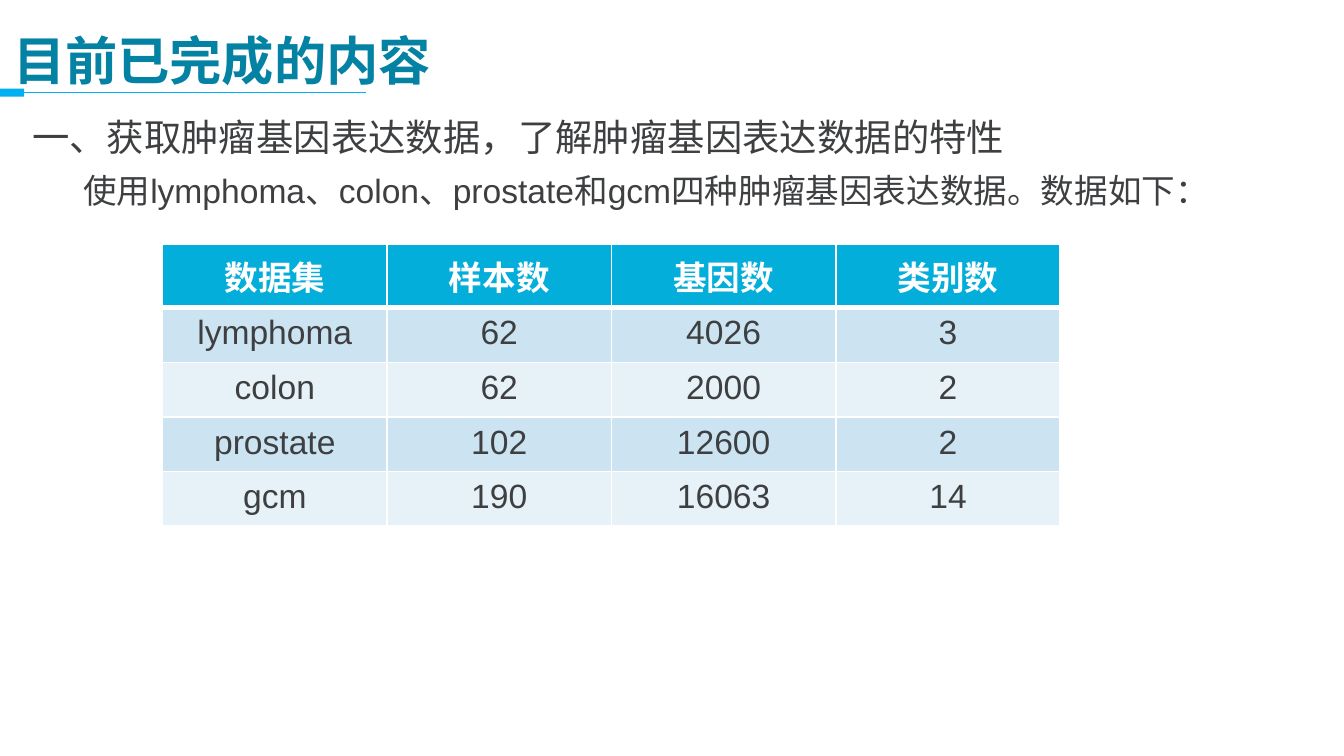
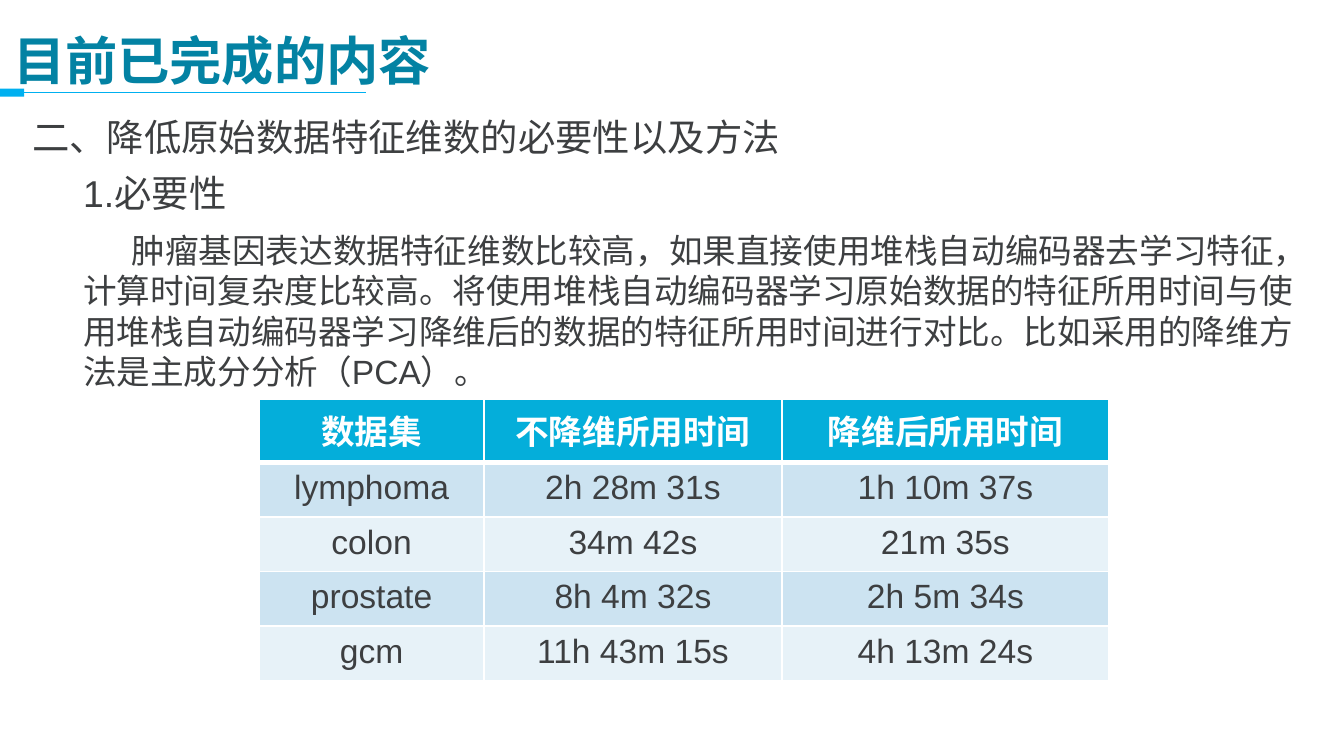
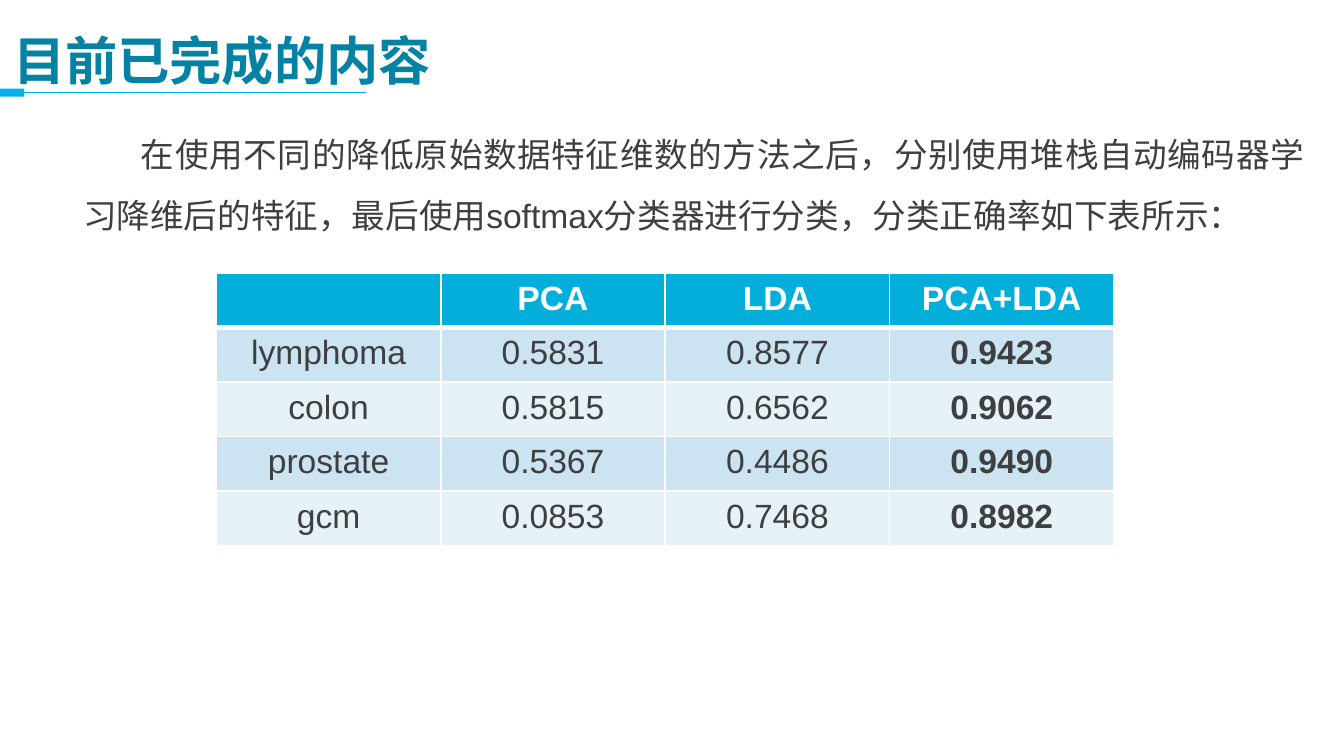
from dataclasses import dataclass

from lxml import etree
from pptx import Presentation
from pptx.dml.color import RGBColor
from pptx.enum.shapes import MSO_CONNECTOR, MSO_SHAPE
from pptx.enum.text import MSO_ANCHOR, PP_ALIGN
from pptx.oxml.ns import qn
from pptx.util import Inches, Pt

STRAIGHT = MSO_CONNECTOR.STRAIGHT
RECTANGLE = MSO_SHAPE.RECTANGLE
TOP, MIDDLE = MSO_ANCHOR.TOP, MSO_ANCHOR.MIDDLE
LEFT, CENTER, JUSTIFY = PP_ALIGN.LEFT, PP_ALIGN.CENTER, PP_ALIGN.JUSTIFY

SLIDE_WIDTH = 10
SLIDE_HEIGHT = SLIDE_WIDTH * 9 / 16
FONT = "Arial"
TITLE = "目前已完成的内容"
TITLE_COLOR = "0382A3"
ACCENT = "00B0F0"
BODY_COLOR = "3D3F41"
WHITE = "FFFFFF"
HEADER_FILL = "04AEDA"
BAND_FILLS = ("CCE3F1", "E7F2F8")
TABLE_HEIGHT = 2.03
DATASETS = ("lymphoma", "colon", "prostate", "gcm")


@dataclass
class Passage:
    text: str
    size: int = 18
    margin: float = 0.38
    indent: float = 0
    align: PP_ALIGN = LEFT
    spacing: float = 1.0
    before: float = 3


@dataclass
class DataTable:
    left: float
    top: float
    widths: list[float]
    header: list[str]
    columns: list[list[str]]
    header_bottom: float = 0.12
    bold_last: bool = False


@dataclass
class Page:
    passages: list[Passage]
    table: DataTable


PAGES = [
    Page(
        [
            Passage("一、获取肿瘤基因表达数据，了解肿瘤基因表达数据的特性", size=20, margin=0),
            Passage("使用lymphoma、colon、prostate和gcm四种肿瘤基因表达数据。数据如下："),
        ],
        DataTable(
            1.21, 1.82, [1.67] * 4,
            ["数据集", "样本数", "基因数", "类别数"],
            [
                ["62", "62", "102", "190"],
                ["4026", "2000", "12600", "16063"],
                ["3", "2", "2", "14"],
            ],
        ),
    ),
    Page(
        [
            Passage("二、降低原始数据特征维数的必要性以及方法", size=20, margin=0),
            Passage("1.必要性", size=20),
            Passage(
                "肿瘤基因表达数据特征维数比较高，如果直接使用堆栈自动编码器去学习特征，"
                "计算时间复杂度比较高。将使用堆栈自动编码器学习原始数据的特征所用时间与"
                "使用堆栈自动编码器学习降维后的数据的特征所用时间进行对比。"
                "比如采用的降维方法是主成分分析（PCA）。",
                indent=0.36, before=5,
            ),
        ],
        DataTable(
            1.93, 2.97, [1.67, 2.22, 2.43],
            ["数据集", "不降维所用时间", "降维后所用时间"],
            [
                ["2h 28m 31s", "34m 42s", "8h 4m 32s", "11h 43m 15s"],
                ["1h 10m 37s", "21m 35s", "2h 5m 34s", "4h 13m 24s"],
            ],
        ),
    ),
    Page(
        [
            Passage(
                "在使用不同的降低原始数据特征维数的方法之后，分别使用堆栈自动编码器学习"
                "降维后的特征，最后使用softmax分类器进行分类，分类正确率如下表所示：",
                indent=0.43, align=JUSTIFY, spacing=1.5,
            ),
        ],
        DataTable(
            1.61, 2.03, [1.67] * 4,
            ["", "PCA", "LDA", "PCA+LDA"],
            [
                ["0.5831", "0.5815", "0.5367", "0.0853"],
                ["0.8577", "0.6562", "0.4486", "0.7468"],
                ["0.9423", "0.9062", "0.9490", "0.8982"],
            ],
            header_bottom=0.05,
            bold_last=True,
        ),
    ),
]


def rgb(color: str) -> RGBColor:
    return RGBColor.from_string(color)


def write_text(paragraph, text: str, *, size: int = 18, color: str = BODY_COLOR,
               bold: bool = False, align: PP_ALIGN = LEFT) -> None:
    paragraph.alignment = align
    if not text:
        return
    run = paragraph.add_run()
    run.text = text
    run.font.name = FONT
    run.font.size = Pt(size)
    run.font.bold = bold
    run.font.color.rgb = rgb(color)


def add_frame(slide, left: float, top: float, width: float, height: float,
              anchor: MSO_ANCHOR):
    box = slide.shapes.add_textbox(Inches(left), Inches(top), Inches(width), Inches(height))
    frame = box.text_frame
    frame.word_wrap = True
    frame.vertical_anchor = anchor
    return frame


def add_title(slide) -> None:
    # Thin rule with a block at its left end
    rule = slide.shapes.add_connector(
        STRAIGHT, Inches(2.72), Inches(0.69), Inches(0.18), Inches(0.69))
    rule.line.color.rgb = rgb(ACCENT)
    rule.line.width = Pt(0.75)
    etree.SubElement(rule._element.spPr, qn("a:effectLst"))

    block = slide.shapes.add_shape(
        RECTANGLE, Inches(0), Inches(0.66), Inches(0.18), Inches(0.06))
    block.shadow.inherit = False
    block.fill.solid()
    block.fill.fore_color.rgb = rgb(ACCENT)
    block.line.fill.background()

    heading = add_frame(slide, 0, 0.21, 9.51, 0.47, MIDDLE)
    write_text(heading.paragraphs[0], TITLE, size=28, color=TITLE_COLOR, bold=True)


def add_body(slide, passages: list[Passage]) -> None:
    frame = add_frame(slide, 0.14, 0.8, 9.67, 4.19, TOP)
    for index, passage in enumerate(passages):
        paragraph = frame.add_paragraph() if index else frame.paragraphs[0]
        write_text(paragraph, passage.text, size=passage.size, align=passage.align)
        paragraph.space_before = Pt(passage.before)
        paragraph.space_after = Pt(3)
        paragraph.line_spacing = passage.spacing
        properties = paragraph._p.get_or_add_pPr()
        properties.set("marL", str(Inches(passage.margin)))
        properties.set("indent", str(Inches(passage.indent)))


def set_borders(cell, **widths: float) -> None:
    """Draw white cell edges; they must come before the fill in the XML."""
    properties = cell._tc.get_or_add_tcPr()
    for position, (edge, width) in enumerate(widths.items()):
        line = etree.Element(qn(f"a:ln{edge}"), w=str(Pt(width)))
        fill = etree.SubElement(line, qn("a:solidFill"))
        etree.SubElement(fill, qn("a:srgbClr"), val=WHITE)
        properties.insert(position, line)


def add_data_table(slide, data: DataTable) -> None:
    rows = [data.header, *zip(DATASETS, *data.columns)]
    table = slide.shapes.add_table(
        len(rows), len(data.widths), Inches(data.left), Inches(data.top),
        Inches(sum(data.widths)), Inches(TABLE_HEIGHT)).table
    for column, width in zip(table.columns, data.widths):
        column.width = Inches(width)

    for r, values in enumerate(rows):
        is_header = r == 0
        table.rows[r].height = Inches(TABLE_HEIGHT / len(rows))
        for c, value in enumerate(values):
            cell = table.cell(r, c)
            cell.fill.solid()
            cell.fill.fore_color.rgb = rgb(HEADER_FILL if is_header else BAND_FILLS[(r - 1) % 2])
            if is_header:
                cell.margin_bottom = Inches(data.header_bottom)
            set_borders(cell, L=1, R=1, T=3 if r == 1 else 1, B=3 if is_header else 1)
            is_best = data.bold_last and c == len(values) - 1
            write_text(cell.text_frame.paragraphs[0], value, align=CENTER,
                       color=WHITE if is_header else BODY_COLOR,
                       bold=is_header or is_best)


def main() -> None:
    deck = Presentation()
    deck.slide_width, deck.slide_height = Inches(SLIDE_WIDTH), Inches(SLIDE_HEIGHT)
    blank = deck.slide_layouts[6]
    for page in PAGES:
        slide = deck.slides.add_slide(blank)
        add_title(slide)
        add_body(slide, page.passages)
        add_data_table(slide, page.table)
    deck.save("out.pptx")


if __name__ == "__main__":
    main()
